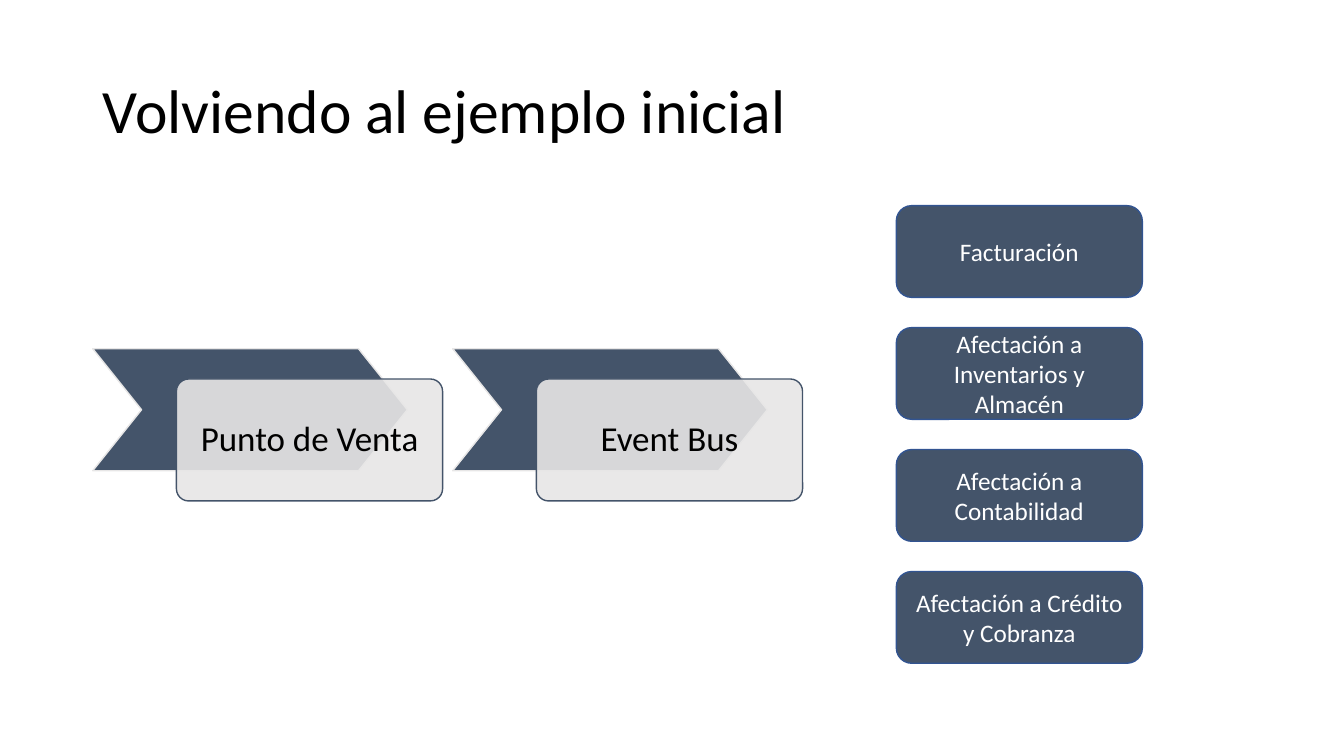
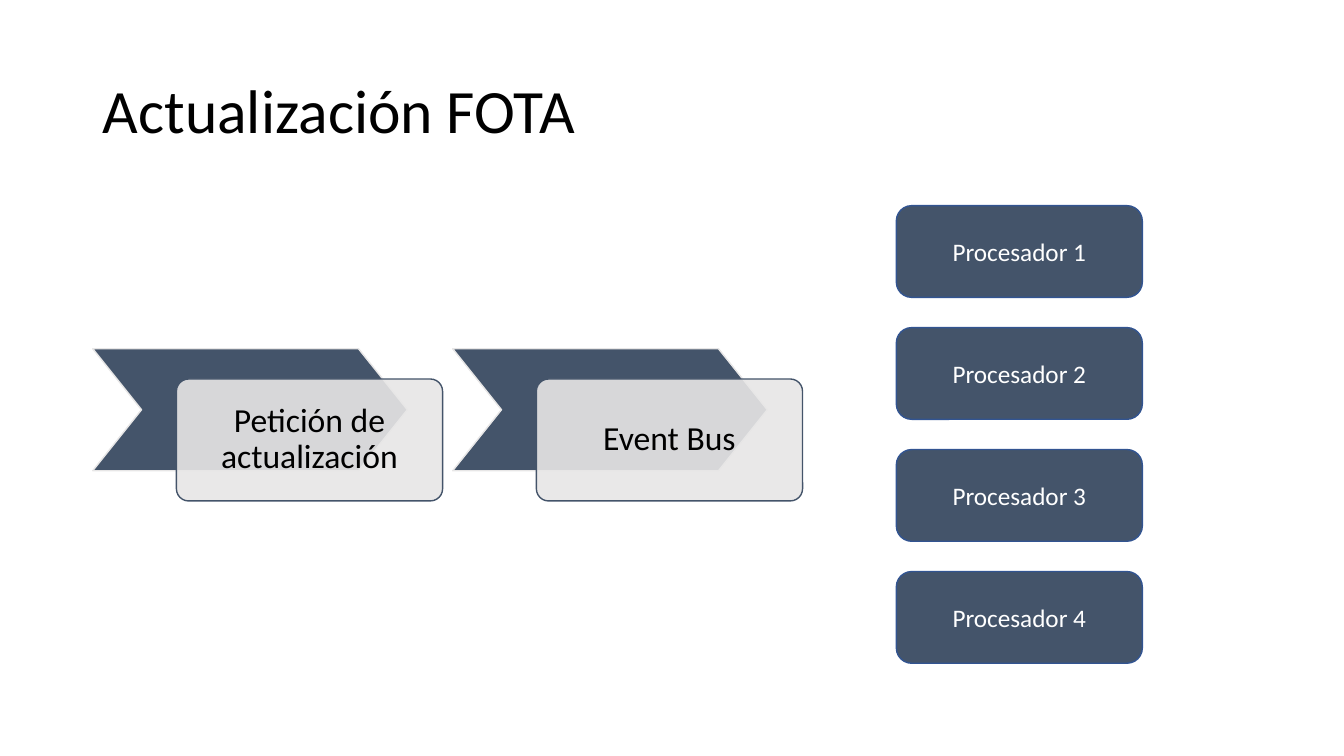
from dataclasses import dataclass

from lxml import etree
from pptx import Presentation
from pptx.dml.color import RGBColor
from pptx.enum.shapes import MSO_SHAPE
from pptx.enum.text import MSO_ANCHOR, PP_ALIGN
from pptx.oxml.ns import qn
from pptx.util import Inches, Pt


@dataclass(frozen=True)
class Theme:
    font: str = "Calibri"
    text: RGBColor = RGBColor(0x00, 0x00, 0x00)
    light_text: RGBColor = RGBColor(0xFF, 0xFF, 0xFF)
    slate: RGBColor = RGBColor(0x44, 0x54, 0x6A)
    pale: RGBColor = RGBColor(0xE7, 0xE6, 0xE6)
    blue_edge: RGBColor = RGBColor(0x32, 0x54, 0x91)
    title_size: int = 44
    consumer_size: int = 18


THEME = Theme()

PAGES = [
    {
        "title": "Volviendo al ejemplo inicial",
        "steps": ["Punto de Venta", "Event Bus"],
        "step_size": 25,
        "consumers": [
            "Facturación",
            "Afectación a Inventarios y Almacén",
            "Afectación a Contabilidad",
            "Afectación a Crédito y Cobranza",
        ],
    },
    {
        "title": "Actualización FOTA",
        "steps": ["Petición de actualización", "Event Bus"],
        "step_size": 24,
        "consumers": [f"Procesador {number}" for number in range(1, 5)],
    },
]

STEP_LEFT, STEP_TOP, STEP_PITCH = 0.92, 3.46, 3.57
STEP_HEIGHT = 1.21
CONSUMER_TOP, CONSUMER_PITCH = 2.04, 1.21


def add_box(shapes, kind, position, fill, edge):
    box = shapes.add_shape(kind, *(Inches(length) for length in position))
    box.shadow.inherit = False
    box.fill.solid()
    box.fill.fore_color.rgb = fill
    box.line.color.rgb = edge
    box.line.width = Pt(1)
    return box


def write_text(box, text, size, color, align=PP_ALIGN.CENTER, spacing=1.0):
    frame = box.text_frame
    frame.word_wrap = True
    frame.vertical_anchor = MSO_ANCHOR.MIDDLE
    paragraph = frame.paragraphs[0]
    paragraph.alignment = align
    paragraph.line_spacing = spacing
    span = paragraph.add_run()
    span.text = text
    for name, value in {"name": THEME.font, "size": Pt(size)}.items():
        setattr(span.font, name, value)
    span.font.color.rgb = color


deck = Presentation()
deck.slide_width, deck.slide_height = Inches(13.33), Inches(7.5)
title_only = deck.slide_layouts[5]

for content in PAGES:
    page = deck.slides.add_slide(title_only)
    title = page.shapes.title
    title.left, title.top = Inches(0.92), Inches(0.4)
    title.width, title.height = Inches(11.5), Inches(1.45)
    write_text(title, content["title"], THEME.title_size, THEME.text,
               PP_ALIGN.LEFT, 0.9)

    for index, label in enumerate(content["steps"]):
        left = STEP_LEFT + index * STEP_PITCH
        step = page.shapes.add_group_shape()
        chevron = add_box(step.shapes, MSO_SHAPE.CHEVRON,
                          (left, STEP_TOP, 3.12, STEP_HEIGHT),
                          THEME.slate, THEME.pale)
        chevron.adjustments[0] = 0.4

        card = add_box(step.shapes, MSO_SHAPE.ROUNDED_RECTANGLE,
                       (left + 0.83, STEP_TOP + 0.3, 2.64, STEP_HEIGHT),
                       THEME.pale, THEME.slate)
        card.adjustments[0] = 0.1
        fill_color = card.fill._xPr.find(qn("a:solidFill"))[0]
        etree.SubElement(fill_color, qn("a:alpha")).set("val", "90000")
        for side in ("left", "top", "right", "bottom"):
            setattr(card.text_frame, f"margin_{side}", Inches(0.18))
        write_text(card, label, content["step_size"], THEME.text, spacing=0.9)

    for index, label in enumerate(content["consumers"]):
        top = CONSUMER_TOP + index * CONSUMER_PITCH
        consumer = add_box(page.shapes, MSO_SHAPE.ROUNDED_RECTANGLE,
                           (8.89, top, 2.44, 0.91),
                           THEME.slate, THEME.blue_edge)
        write_text(consumer, label, THEME.consumer_size, THEME.light_text)

deck.save("out.pptx")
